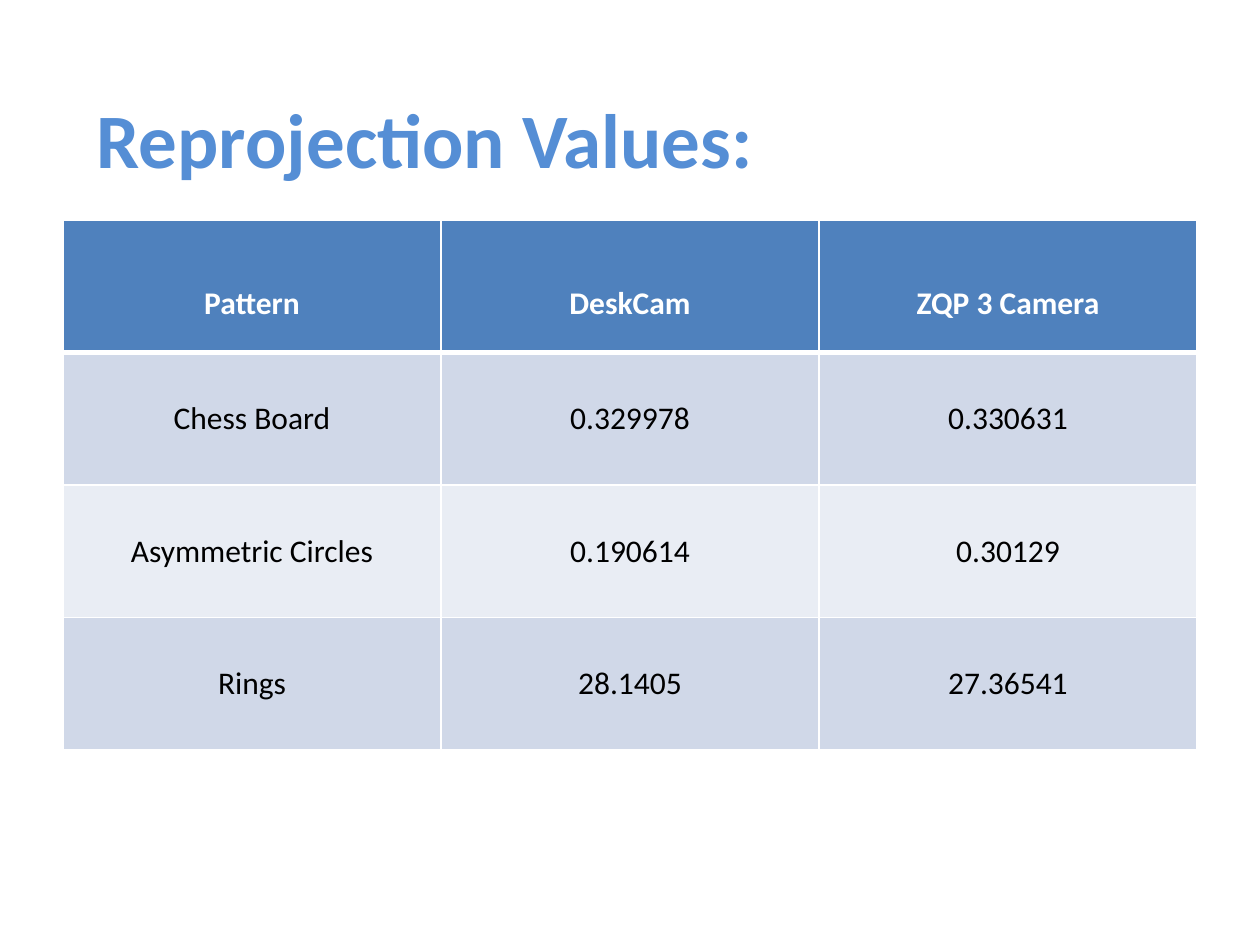
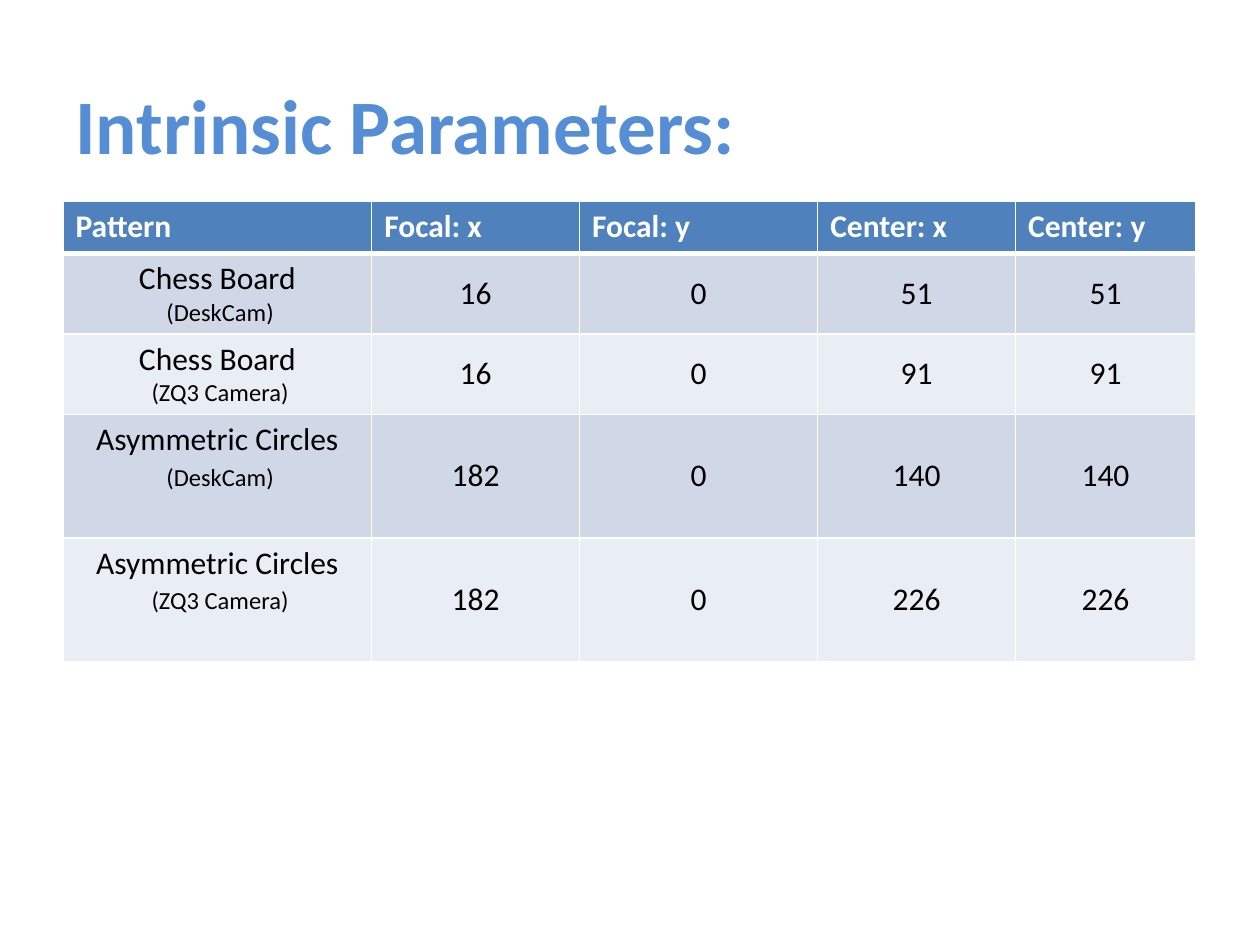
from lxml.etree import SubElement
from pptx import Presentation
from pptx.dml.color import RGBColor
from pptx.enum.text import MSO_ANCHOR as Anchor, PP_ALIGN as Align
from pptx.oxml.ns import qn
from pptx.util import Inches, Pt

FONT = "Calibri"
TITLE_BLUE = "558ED5"
HEADER_BLUE = "4F81BD"
BANDS = ("D0D8E8", "E9EDF4")
WHITE, BLACK = "FFFFFF", "000000"
THIN, THICK = 1, 3

REPROJECTION = [
    ("Pattern", "DeskCam", "ZQP 3 Camera"),
    ("Chess Board", "0.329978", "0.330631"),
    ("Asymmetric Circles", "0.190614", "0.30129"),
    ("Rings", "28.1405", "27.36541"),
]
INTRINSIC = [
    ("Pattern", "Focal: x", "Focal: y", "Center: x", "Center: y"),
    ("Chess Board\n (DeskCam)", "16", "0", "51", "51"),
    ("Chess Board\n (ZQ3 Camera)", "16", "0", "91", "91"),
    ("Asymmetric Circles\n (DeskCam)", "182", "0", "140", "140"),
    ("Asymmetric Circles\n (ZQ3 Camera)", "182", "0", "226", "226"),
]


def color(code):
    return RGBColor.from_string(code)


def add_span(para, text, size, code, bold=False):
    span = para.add_run()
    span.text = text
    font = span.font
    font.name, font.size, font.bold = FONT, Pt(size), bold
    font.color.rgb = color(code)


def add_title(page, text, left, top):
    frame = page.shapes.add_textbox(
        Inches(left), Inches(top), Inches(9), Inches(1.25)).text_frame
    frame.word_wrap = True
    frame.vertical_anchor = Anchor.MIDDLE
    add_span(frame.paragraphs[0], text, 44, TITLE_BLUE, bold=True)


def set_borders(cell, top, bottom):
    """Draw white cell edges; must run before the cell gets its fill."""
    properties = cell._tc.get_or_add_tcPr()
    for edge, width in (("L", THIN), ("R", THIN), ("T", top), ("B", bottom)):
        line = SubElement(properties, qn(f"a:ln{edge}"), w=str(Pt(width)))
        SubElement(SubElement(line, qn("a:solidFill")), qn("a:srgbClr"), val=WHITE)


def fill_header(cell, text, align, spacing):
    set_borders(cell, THIN, THICK)
    cell.fill.solid()
    cell.fill.fore_color.rgb = color(HEADER_BLUE)
    para = cell.text_frame.paragraphs[0]
    para.alignment, para.line_spacing = align, spacing
    add_span(para, text, 18, WHITE, bold=True)


def fill_body(cell, text, row, note_gap):
    """Write a value, or a pattern name with a smaller camera note below it."""
    set_borders(cell, THICK if row == 1 else THIN, THIN)
    cell.fill.solid()
    cell.fill.fore_color.rgb = color(BANDS[(row - 1) % 2])
    name, *notes = text.split("\n")
    cell.vertical_anchor = Anchor.TOP if notes else Anchor.MIDDLE
    para = cell.text_frame.paragraphs[0]
    para.alignment = Align.CENTER
    add_span(para, name, 18, BLACK)
    for note in notes:
        para = cell.text_frame.add_paragraph()
        para.alignment, para.space_before = Align.CENTER, Pt(note_gap)
        add_span(para, note, 14, BLACK)


def add_values(page, top, rows, widths, heights, header_align, header_spacing=1.0):
    table = page.shapes.add_table(
        len(rows), len(widths), Inches(0.5), Inches(top),
        Inches(sum(widths)), Inches(sum(heights))).table
    for column, width in zip(table.columns, widths):
        column.width = Inches(width)
    for index, (values, height) in enumerate(zip(rows, heights)):
        table.rows[index].height = Inches(height)
        note_gap = 2 if values[0].startswith("Asymmetric") else 0
        for column, text in enumerate(values):
            cell = table.cell(index, column)
            if index == 0:
                fill_header(cell, text, header_align, header_spacing)
            else:
                fill_body(cell, text, index, note_gap)


def build_reprojection(page):
    add_values(page, 1.75, REPROJECTION, [3] * 3, [1.05] * 4, Align.CENTER, 2.5)
    add_title(page, "Reprojection Values:", 0.67, 0.47)


def build_intrinsic(page):
    add_values(page, 1.6, INTRINSIC, [2.45, 1.65, 1.89, 1.57, 1.43],
               [0.41, 0.64, 0.64, 0.98, 0.98], Align.LEFT)
    add_title(page, "Intrinsic Parameters:", 0.5, 0.36)


def main():
    deck = Presentation()
    deck.slide_width, deck.slide_height = Inches(10), Inches(7.5)
    for build in (build_reprojection, build_intrinsic):
        build(deck.slides.add_slide(deck.slide_layouts[6]))
    deck.save("out.pptx")


if __name__ == "__main__":
    main()
